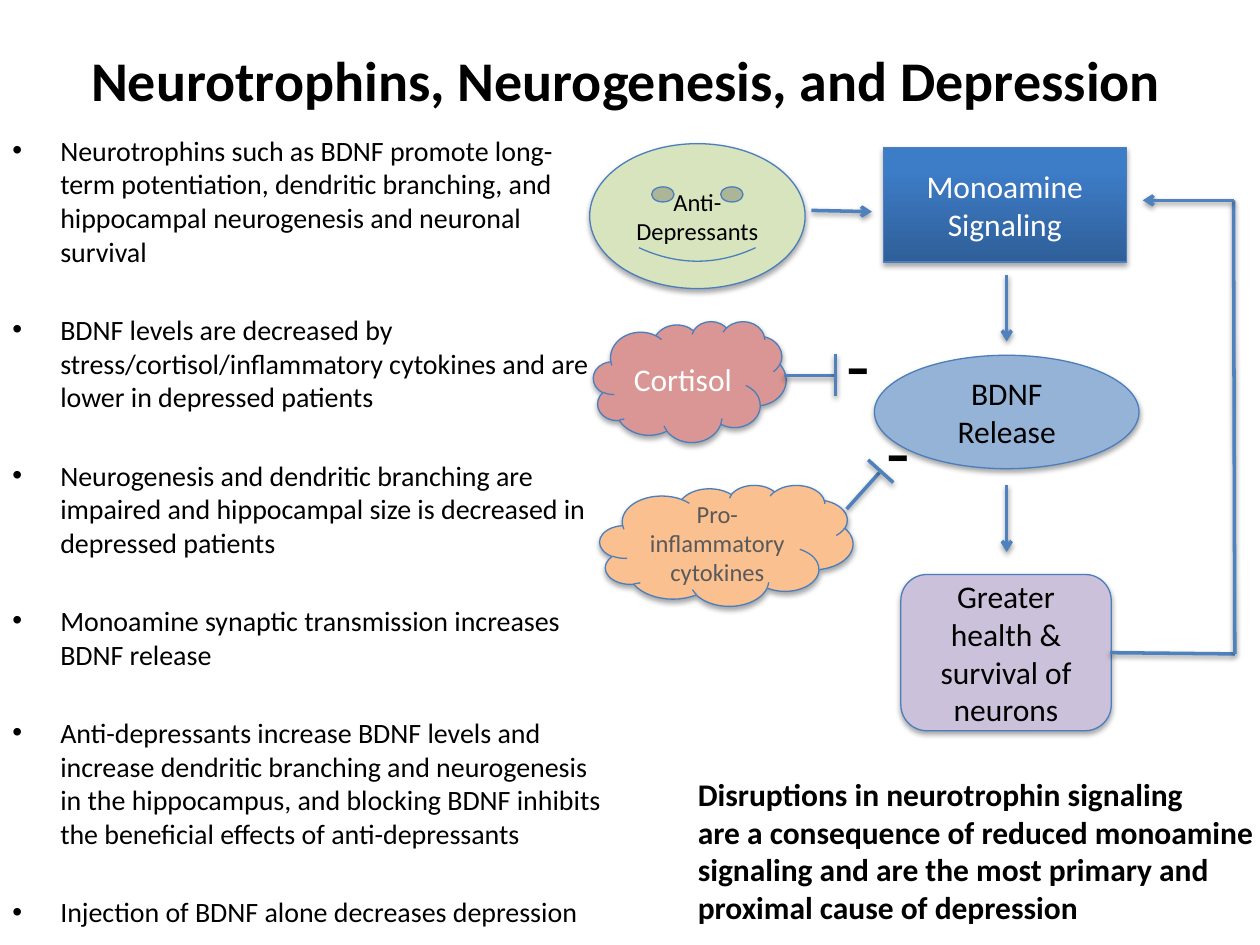
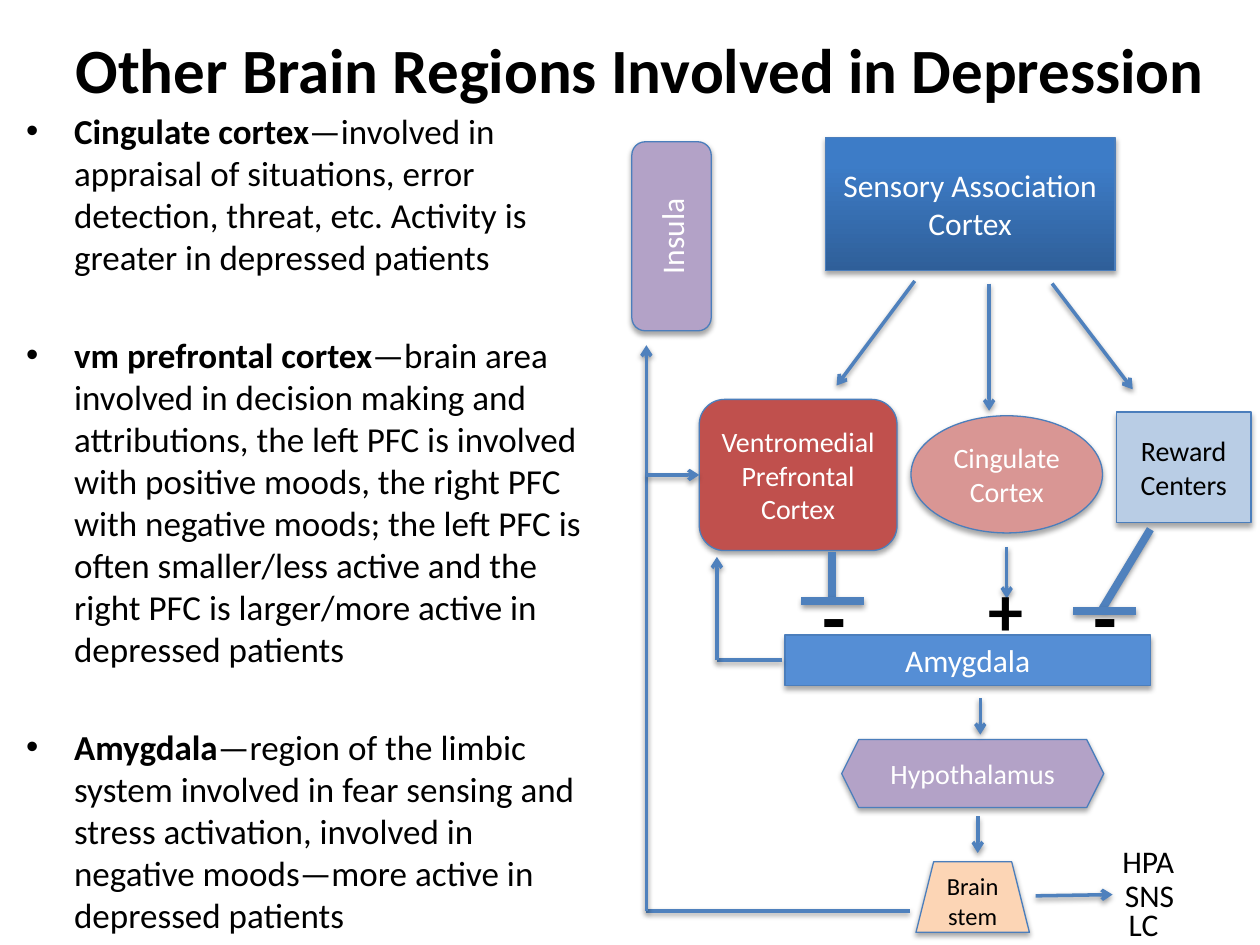
import dataclasses
import itertools
import typing

import lxml.etree
import pptx
import pptx.dml.color
import pptx.enum.shapes
import pptx.enum.text
import pptx.oxml.ns
import pptx.slide
import pptx.util

RGB = pptx.dml.color.RGBColor
Inches = pptx.util.Inches
Pt = pptx.util.Pt
SHAPE = pptx.enum.shapes.MSO_SHAPE
ALIGN = pptx.enum.text.PP_ALIGN
ANCHOR = pptx.enum.text.MSO_ANCHOR
SIZE = pptx.enum.text.MSO_AUTO_SIZE
qn = pptx.oxml.ns.qn

FONT = "Calibri"
BLACK = RGB(0x00, 0x00, 0x00)
WHITE = RGB(0xFF, 0xFF, 0xFF)
GRAY = RGB(0x59, 0x59, 0x59)
EDGE = RGB(0x4B, 0x7E, 0xBC)
WIRE = RGB(0x4F, 0x81, 0xBD)
DEEP = RGB(0x2F, 0x5F, 0x99)
BRIGHT = RGB(0x3D, 0x7C, 0xC7)
STEEL = RGB(0x95, 0xB3, 0xD7)
SKY = RGB(0xB9, 0xCD, 0xE5)
AZURE = RGB(0x55, 0x8E, 0xD5)
LILAC = RGB(0xCC, 0xC1, 0xDA)
PURPLE = RGB(0xB3, 0xA2, 0xC7)
ROSE = RGB(0xD9, 0x96, 0x94)
RED = RGB(0xC0, 0x50, 0x4D)
GREEN = RGB(0xD7, 0xE4, 0xBD)
ORANGE = RGB(0xFA, 0xC0, 0x90)
PEACH = RGB(0xFC, 0xD5, 0xB5)

Rect = tuple[float, float, float, float]
Point = tuple[float, float]


@dataclasses.dataclass
class Node:
    text: str
    kind: SHAPE
    box: Rect
    fill: typing.Optional[RGB]
    size: int = 18
    ink: RGB = WHITE
    turn: int = 0


@dataclasses.dataclass
class Route:
    points: list[Point]
    arrow: bool = True
    width: float = 2


@dataclasses.dataclass
class Label:
    text: str
    box: Rect
    size: int = 18
    bold: bool = False


@dataclasses.dataclass
class List:
    box: Rect
    size: int
    first: float
    gap: float
    items: list[tuple[str, str]]


@dataclasses.dataclass
class Page:
    title: Label
    list: List
    nodes: list[Node]
    routes: list[Route]
    labels: list[Label]


def style(target: typing.Any, form: dict[str, typing.Any]) -> None:
    for name, value in form.items():
        setattr(target, name, value)


def ink(font: typing.Any, size: int, color: RGB = BLACK, bold: bool = False) -> None:
    style(font, {"name": FONT, "size": Pt(size), "bold": bold})
    font.color.rgb = color


def shade(shape: typing.Any, alpha: int, dist: float) -> None:
    effects = lxml.etree.SubElement(shape.element.spPr, qn("a:effectLst"))
    form = {"blurRad": Pt(3.1), "dist": Pt(dist), "dir": 5400000, "rotWithShape": 0}
    outer = lxml.etree.SubElement(effects, qn("a:outerShdw"))
    for name, value in form.items():
        outer.set(name, str(int(value)))
    color = lxml.etree.SubElement(outer, qn("a:srgbClr"), val=str(BLACK))
    lxml.etree.SubElement(color, qn("a:alpha"), val=str(alpha * 1000))


def write(frame: typing.Any, text: str, size: int, color: RGB = BLACK,
          bold: bool = False, align: ALIGN = ALIGN.CENTER) -> None:
    frame.text = text
    for para in frame.paragraphs:
        para.alignment = align
        for run in para.runs:
            ink(run.font, size, color, bold)


def draw_title(slide: pptx.slide.Slide, title: Label) -> None:
    frame = slide.shapes.add_textbox(*map(Inches, title.box)).text_frame
    style(frame, {"word_wrap": True, "vertical_anchor": ANCHOR.MIDDLE})
    write(frame, title.text, title.size, bold=True)


def draw_list(slide: pptx.slide.Slide, block: List) -> None:
    frame = slide.shapes.add_textbox(*map(Inches, block.box)).text_frame
    frame.word_wrap = True
    for spot, item in enumerate(block.items):
        para = frame.add_paragraph() if spot else frame.paragraphs[0]
        para.space_before = Pt(block.gap if spot else block.first)
        props = para._p.get_or_add_pPr()
        props.set("marL", str(Inches(0.38)))
        props.set("indent", str(Inches(-0.38)))
        lxml.etree.SubElement(props, qn("a:buFont"), typeface="Arial")
        lxml.etree.SubElement(props, qn("a:buChar"), char="•")
        for text, bold in zip(item, (True, False)):
            if text:
                run = para.add_run()
                run.text = text
                ink(run.font, block.size, bold=bold)


def draw_node(slide: pptx.slide.Slide, node: Node) -> None:
    shape = slide.shapes.add_shape(node.kind, *map(Inches, node.box))
    shape.rotation = node.turn
    if node.fill is None:
        shape.fill.gradient()
        shape.fill.gradient_angle = 90
        for stop, color, place in zip(shape.fill.gradient_stops, (DEEP, BRIGHT), (0, 0.8)):
            stop.color.rgb = color
            stop.position = place
    else:
        shape.fill.solid()
        shape.fill.fore_color.rgb = node.fill
    shape.line.color.rgb = EDGE
    shape.line.width = Pt(0.75)
    shade(shape, 35, 1.8)
    style(shape.text_frame, {"word_wrap": True, "vertical_anchor": ANCHOR.MIDDLE})
    write(shape.text_frame, node.text, node.size, node.ink)


def draw_route(slide: pptx.slide.Slide, route: Route) -> None:
    for start, end in itertools.pairwise(route.points):
        wire = slide.shapes.add_connector(
            pptx.enum.shapes.MSO_CONNECTOR.STRAIGHT, *map(Inches, start + end))
        wire.line.color.rgb = WIRE
        wire.line.width = Pt(route.width)
        if route.arrow and end == route.points[-1]:
            line = wire.element.spPr.find(qn("a:ln"))
            lxml.etree.SubElement(line, qn("a:tailEnd"), type="arrow")
        shade(wire, 38, 1.6)


def draw_label(slide: pptx.slide.Slide, label: Label) -> None:
    frame = slide.shapes.add_textbox(*map(Inches, label.box)).text_frame
    style(frame, {"word_wrap": False, "auto_size": SIZE.SHAPE_TO_FIT_TEXT})
    write(frame, label.text, label.size, bold=label.bold, align=ALIGN.LEFT)


def draw_page(deck: typing.Any, page: Page) -> None:
    slide = deck.slides.add_slide(deck.slide_layouts[6])
    draw_title(slide, page.title)
    draw_list(slide, page.list)
    for node in page.nodes:
        draw_node(slide, node)
    for route in page.routes:
        draw_route(slide, route)
    for label in page.labels:
        draw_label(slide, label)


GROWTH = Page(
    Label("Neurotrophins, Neurogenesis, and Depression", (0.47, 0, 9, 1.25), 32),
    List((0, 1.01, 4.88, 5.97), 16, 3.2, 25.6, [("", text) for text in (
        "Neurotrophins such as BDNF promote long-term potentiation, dendritic branching, "
        "and hippocampal neurogenesis and neuronal survival",
        "BDNF levels are decreased by stress/cortisol/inflammatory cytokines and are "
        "lower in depressed patients",
        "Neurogenesis and dendritic branching are impaired and hippocampal size is "
        "decreased in depressed patients",
        "Monoamine synaptic transmission increases BDNF release",
        "Anti-depressants increase BDNF levels and increase dendritic branching and "
        "neurogenesis in the hippocampus, and blocking BDNF inhibits the beneficial "
        "effects of anti-depressants",
        "Injection of BDNF alone decreases depression",
    )]),
    [
        Node("Monoamine\nSignaling", SHAPE.RECTANGLE, (7.01, 1.17, 1.93, 0.91), None),
        Node("BDNF Release", SHAPE.OVAL, (6.94, 2.82, 2.1, 0.9), STEEL, ink=BLACK),
        Node("Greater health & survival of neurons", SHAPE.ROUNDED_RECTANGLE,
             (7.15, 4.56, 1.67, 1.24), LILAC, ink=BLACK),
        Node("Cortisol", SHAPE.CLOUD, (4.71, 2.55, 1.53, 0.96), ROSE),
        Node("Anti-Depressants", SHAPE.SMILEY_FACE, (4.68, 1.14, 1.71, 1.15),
             GREEN, 14, BLACK),
        Node("Pro-inflammatory cytokines", SHAPE.CLOUD, (4.76, 3.85, 2.01, 0.96),
             ORANGE, 14, GRAY),
    ],
    [
        *[Route([(7.99, top), (7.99, top + 0.53)]) for top in (2.18, 3.85)],
        Route([(8.81, 5.18), (9.8, 5.19), (9.79, 1.59), (9.07, 1.59)]),
        Route([(6.44, 1.67), (6.92, 1.68)]),
        Route([(6.22, 2.98), (6.62, 2.98)], False),
        Route([(6.63, 2.81), (6.63, 3.14)], False),
        Route([(6.72, 4.04), (6.98, 3.75)], False),
        Route([(7.09, 3.83), (6.89, 3.65)], False),
    ],
    [
        Label("Disruptions in neurotrophin signaling\n"
              "are a consequence of reduced monoamine\n"
              "signaling and are the most primary and\n"
              "proximal cause of depression", (5.44, 6.1, 4.66, 1.31), bold=True),
        Label("-", (6.62, 2.46, 0.39, 0.84), 44),
        Label("-", (6.94, 3.15, 0.39, 0.84), 44),
    ],
)

REGIONS = Page(
    Label("Other Brain Regions Involved in Depression", (0.47, 0.03, 9.22, 1.03), 36),
    List((0.11, 0.82, 4.69, 6.49), 20, 4, 32, [
        ("Cingulate cortex", "—involved in appraisal of situations, error detection, "
         "threat, etc. Activity is greater in depressed patients"),
        ("vm prefrontal cortex", "—brain area involved in decision making and "
         "attributions, the left PFC is involved with positive moods, the right PFC "
         "with negative moods; the left PFC is often smaller/less active and the right "
         "PFC is larger/more active in depressed patients"),
        ("Amygdala", "—region of the limbic system involved in fear sensing and stress "
         "activation, involved in negative moods—more active in depressed patients"),
    ]),
    [
        Node("Sensory Association Cortex", SHAPE.RECTANGLE, (6.55, 1.09, 2.3, 1.06), None),
        Node("Ventromedial\vPrefrontal Cortex", SHAPE.ROUNDED_RECTANGLE,
             (5.55, 3.17, 1.57, 1.2), RED, 16),
        Node("Cingulate Cortex", SHAPE.OVAL, (7.23, 3.3, 1.52, 0.93), ROSE, 16),
        Node("Amygdala", SHAPE.RECTANGLE, (6.23, 5.04, 2.9, 0.4), AZURE),
        Node("Hypothalamus", SHAPE.HEXAGON, (6.68, 5.87, 2.08, 0.54), PURPLE, 16),
        Node("Insula", SHAPE.ROUNDED_RECTANGLE, (4.58, 1.56, 1.5, 0.63), PURPLE, turn=270),
        Node("Reward\nCenters", SHAPE.RECTANGLE, (8.86, 3.27, 1.07, 0.88), SKY, 16, BLACK),
        Node("Brain stem", SHAPE.TRAPEZOID, (7.27, 6.84, 0.9, 0.56), PEACH, 14, BLACK),
    ],
    [
        Route([(8.35, 2.25), (8.99, 3.09)]),
        Route([(7.26, 2.23), (6.64, 3.06)]),
        Route([(7.85, 2.25), (7.85, 3.26)]),
        Route([(7.99, 4.34), (7.99, 4.75)]),
        Route([(9.13, 4.2), (8.75, 4.83)], False, 4.5),
        Route([(6.6, 4.38), (6.6, 4.74)], False, 4.5),
        *[Route([(left, top), (left + 0.5, top)], False, 4.5)
          for left, top in ((8.52, 4.85), (6.36, 4.77))],
        *[Route([(left, top), (left, top + 0.29)])
          for left, top in ((7.78, 5.54), (7.76, 6.48))],
        Route([(7.22, 7.23), (5.13, 7.23), (5.13, 2.74)]),
        Route([(5.13, 3.77), (5.55, 3.77)]),
        Route([(6.21, 5.24), (5.69, 5.24), (5.69, 4.42)]),
        Route([(8.22, 7.11), (8.83, 7.1)]),
    ],
    [
        *[Label("-", (left, 4.46, 0.39, 0.84), 44, True) for left in (8.58, 6.43)],
        Label("+", (7.75, 4.45, 0.48, 0.77), 40, True),
        Label("HPA", (8.81, 6.63, 0.64, 0.4)),
        Label("SNS", (8.83, 6.9, 0.6, 0.4)),
        Label("LC", (8.86, 7.13, 0.45, 0.4)),
    ],
)


def main() -> None:
    deck = pptx.Presentation()
    style(deck, {"slide_width": Inches(10), "slide_height": Inches(7.5)})
    for page in (GROWTH, REGIONS):
        draw_page(deck, page)
    deck.save("out.pptx")


if __name__ == "__main__":
    main()
